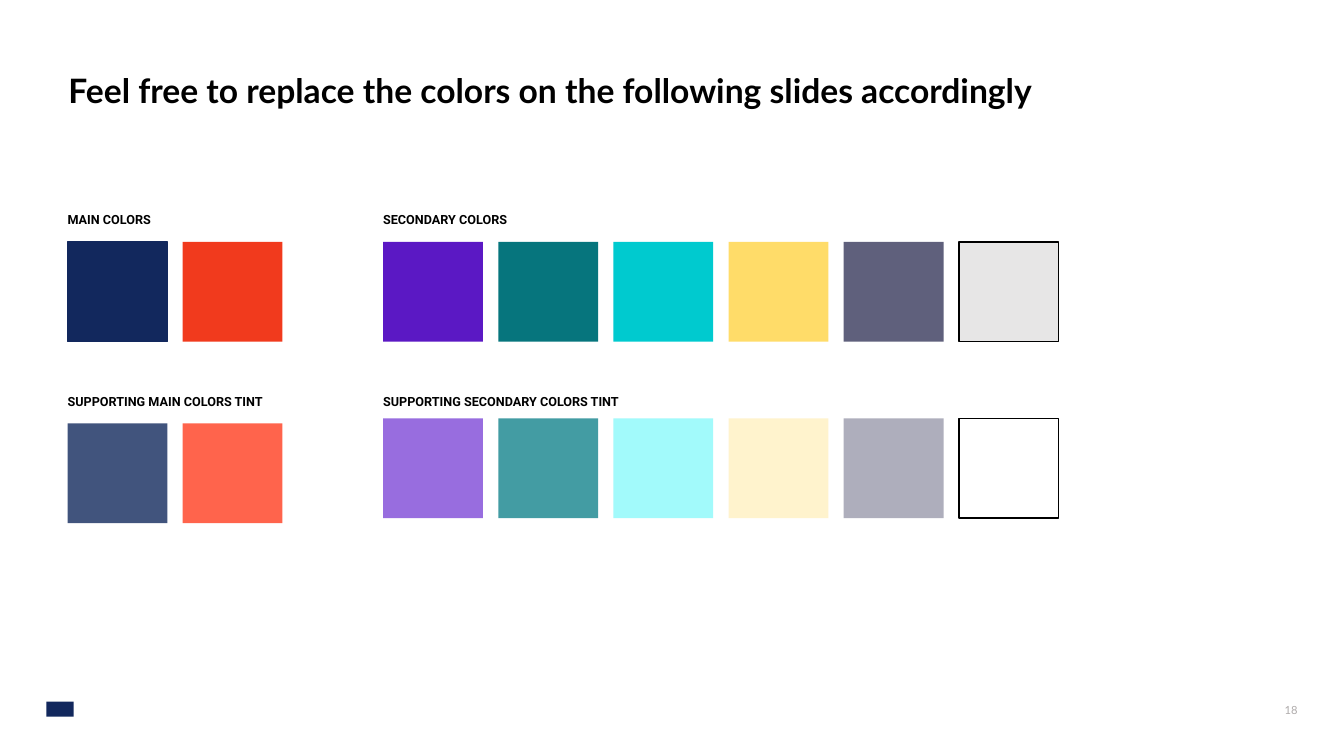
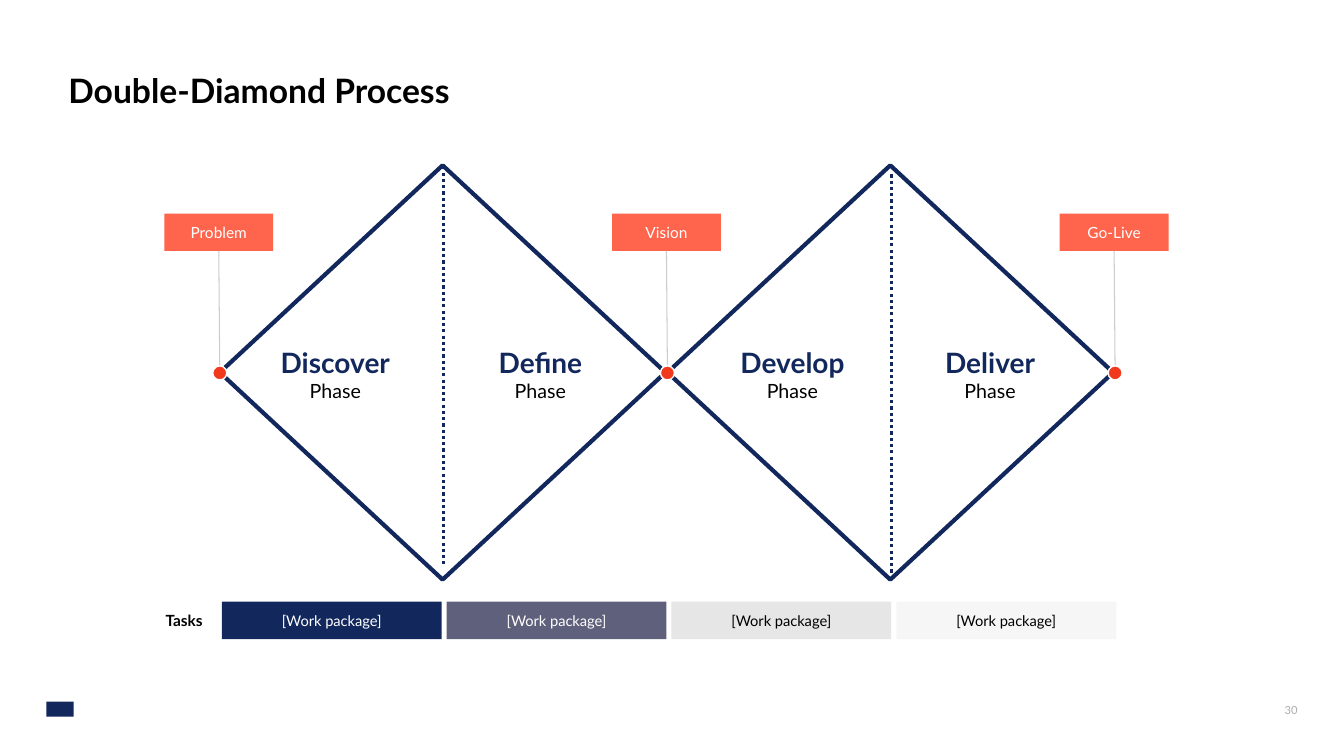
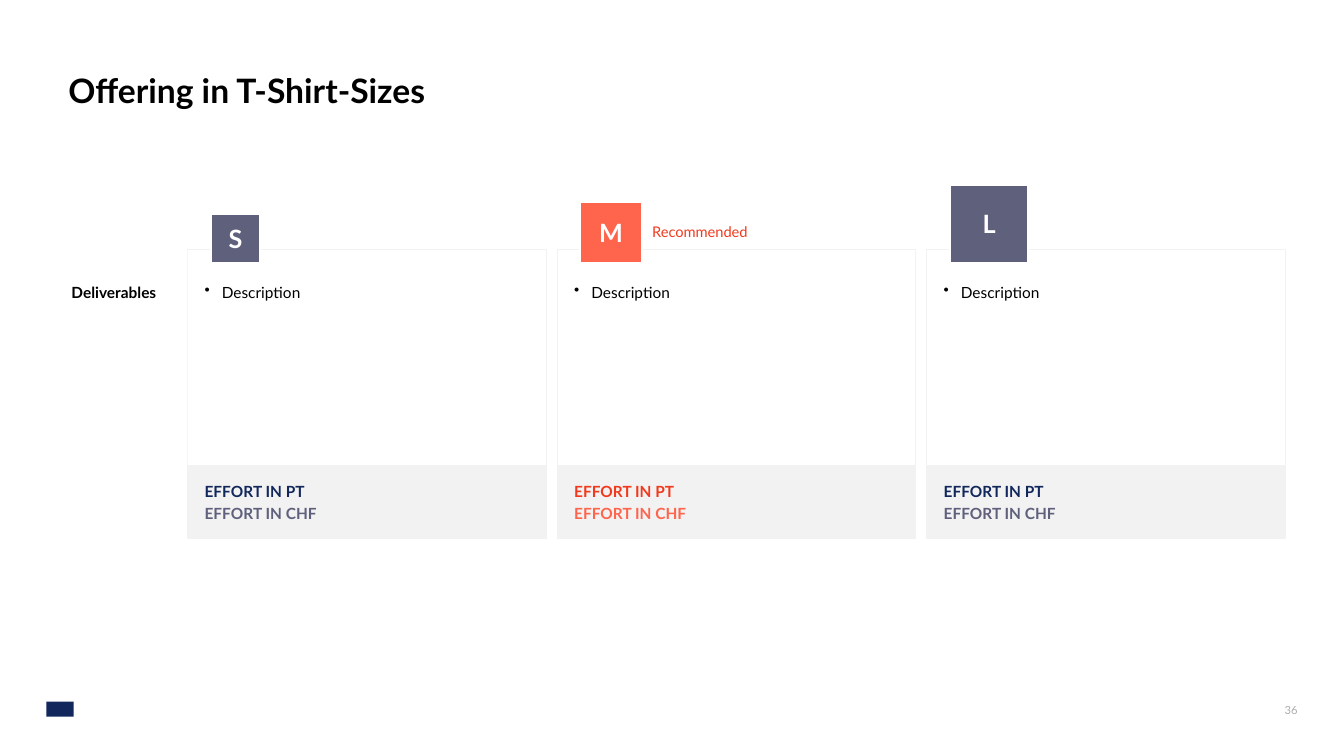
from lxml import etree
from pptx import Presentation
from pptx.dml.color import RGBColor
from pptx.enum.dml import MSO_LINE_DASH_STYLE as Dash
from pptx.enum.shapes import MSO_CONNECTOR as Link, MSO_SHAPE as Kind
from pptx.enum.text import MSO_ANCHOR as Anchor, PP_ALIGN as Align
from pptx.oxml.ns import qn
from pptx.util import Inches, Pt

# Shared palette and text settings
NAVY, RED, CORAL, SLATE = "12285D", "F13A1D", "FF644C", "5F607C"
BLACK, WHITE, SILVER, PALE = "000000", "FFFFFF", "E7E6E6", "F2F2F2"
FONT = "Lato"
PAD = (0.1, 0.1, 0.1, 0.1)
FLUSH = (0, 0, 0, 0)


def color(text):
    return RGBColor.from_string(text)


# Elements
def write(shape, rows, align=Align.LEFT, anchor=Anchor.MIDDLE, inset=PAD,
          font=FONT, space=None, indent=0, bullet=False):
    """Fill a shape with rows of (text, size, colour, bold)."""
    frame = shape.text_frame
    frame.word_wrap = True
    frame.vertical_anchor = anchor
    (frame.margin_left, frame.margin_top,
     frame.margin_right, frame.margin_bottom) = map(Inches, inset)
    for i, (text, size, tone, bold) in enumerate(rows):
        para = frame.add_paragraph() if i else frame.paragraphs[0]
        para.text = text
        para.alignment = align
        if space:
            para.line_spacing = space
        props = para._p.get_or_add_pPr()
        if indent:
            props.set("marL", str(Inches(indent)))
        if bullet:
            props.set("indent", str(Inches(-0.17)))
            etree.SubElement(props, qn("a:buChar"), char="•")
        para.font.name = font
        para.font.size = Pt(size)
        para.font.bold = bold
        para.font.color.rgb = color(tone)


def label(slide, x, y, w, h, rows, **style):
    area = slide.shapes.add_textbox(*map(Inches, (x, y, w, h)))
    write(area, rows, **style)


def box(slide, x, y, w, h, fill=None, line=None, weight=1, kind=Kind.RECTANGLE):
    shape = slide.shapes.add_shape(kind, *map(Inches, (x, y, w, h)))
    shape.shadow.inherit = False
    if fill:
        shape.fill.solid()
        shape.fill.fore_color.rgb = color(fill)
    else:
        shape.fill.background()
    if line:
        shape.line.color.rgb = color(line)
        shape.line.width = Pt(weight)
    else:
        shape.line.fill.background()
    return shape


def rule(slide, start, end, tone, weight, dash=None):
    line = slide.shapes.add_connector(Link.STRAIGHT, *map(Inches, start + end))
    line.line.color.rgb = color(tone)
    line.line.width = Pt(weight)
    if dash:
        line.line.dash_style = dash
    etree.SubElement(line._element.spPr, qn("a:effectLst"))
    return line


def fade(shape, percent):
    tone = shape._element.spPr.find(qn("a:solidFill"))[0]
    etree.SubElement(tone, qn("a:alpha"), val=str(percent * 1000))


def page(deck, title, number):
    slide = deck.slides.add_slide(deck.slide_layouts[6])
    box(slide, 0.46, 6.96, 0.27, 0.15, NAVY)
    label(slide, 8.53, 6.83, 4.44, 0.42,
          [(number, 8, "AFABAB", False)], align=Align.RIGHT)
    label(slide, 0.58, 0.58, 12.17, 0.67,
          [(title, 24, BLACK, True)], space=0.9)
    return slide


# Slides
def colors(deck):
    slide = page(deck, "Feel free to replace the colors on the following "
                       "slides accordingly", "18")
    groups = [
        ("MAIN COLORS", 0.67, 2.1, 2.4, (NAVY, RED)),
        ("SUPPORTING MAIN COLORS TINT", 0.67, 3.91, 4.2, ("41547D", CORAL)),
        ("SECONDARY COLORS", 3.8, 2.1, 2.4,
         ("5B18C4", "06757D", "00CACF", "FFDC69", SLATE, SILVER)),
        ("SUPPORTING SECONDARY COLORS TINT", 3.8, 3.91, 4.15,
         ("986DDF", "439CA3", "A2FAFB", "FFF3CD", "AEAEBC", WHITE)),
    ]
    edges = {NAVY: NAVY, SILVER: BLACK, WHITE: BLACK}
    for name, left, top, row, tones in groups:
        label(slide, left, top, 3.32, 0.15, [(name, 9, BLACK, True)],
              anchor=Anchor.TOP, inset=FLUSH, font="Roboto")
        for i, tone in enumerate(tones):
            box(slide, left + 1.142 * i, row, 0.99, 0.99,
                tone, edges.get(tone))


def process(deck):
    slide = page(deck, "Double-Diamond Process", "30")
    left, pitch, middle = 2.18, 4.44, 3.7

    # Diamonds and their dotted centre lines
    for i, top in enumerate((1.65, 1.73)):
        x = left + pitch * i
        box(slide, x, 1.64, 4.42, 4.11, line=NAVY, weight=3, kind=Kind.DIAMOND)
        axis = x + 2.22
        rule(slide, (axis, top), (axis, top + 3.96), NAVY, 2.25, Dash.ROUND_DOT)

    # Phases
    for name, x, w in (("Discover", 2.25, 2.15), ("Define", 4.39, 1.94),
                       ("Develop", 6.89, 1.94), ("Deliver", 8.85, 1.94)):
        label(slide, x, 3.39, w, 0.64,
              [(name, 20, NAVY, True), ("Phase", 14, BLACK, False)],
              align=Align.CENTER)

    # Milestones
    for i, name in enumerate(("Problem", "Vision", "Go-Live")):
        x = left + pitch * i
        tag = box(slide, x - 0.55, 2.12, 1.08, 0.37, CORAL)
        write(tag, [(name, 11, WHITE, False)], align=Align.CENTER)
        stem = rule(slide, (x - 0.01, 2.49), (x, middle), "CCCCCC", 0.75)
        stem.begin_connect(tag, 2)
        box(slide, x - 0.07, middle - 0.07, 0.14, 0.14,
            RED, WHITE, kind=Kind.OVAL)

    # Tasks
    label(slide, 1.03, 5.97, 1.08, 0.37,
          [("Tasks", 11, BLACK, True)], align=Align.RIGHT)
    tasks = ((NAVY, WHITE), (SLATE, WHITE), (SILVER, BLACK), (SILVER, BLACK))
    for i, (fill, ink) in enumerate(tasks):
        task = box(slide, 2.2 + 2.23 * i, 5.97, 2.18, 0.37, fill)
        write(task, [("[Work package]", 10.5, ink, False)], align=Align.CENTER)
    fade(task, 33)


def sizes(deck):
    slide = page(deck, "Offering in T-Shirt-Sizes", "36")
    offers = [("S", 0.49, SLATE, NAVY, SLATE),
              ("M", 0.61, CORAL, RED, CORAL),
              ("L", 0.78, SLATE, NAVY, SLATE)]
    left, pitch, width = 1.86, 3.665, 3.56

    # Cards with size badges
    for i, (name, side, fill, _, _) in enumerate(offers):
        x = left + pitch * i
        card = box(slide, x, 2.48, width, 2.15, WHITE, PALE, 0.75)
        write(card, [("Description", 11, BLACK, False)], anchor=Anchor.TOP,
              inset=(0.14, 0.3, 0.1, 0.1), space=1.15, indent=0.2, bullet=True)
        badge = box(slide, x + 0.23, 2.61 - side, side, side, fill, WHITE, 1.5)
        write(badge, [(name, 18, WHITE, True)], align=Align.CENTER, inset=FLUSH)
    label(slide, 6.37, 2.16, 1.18, 0.28, [("Recommended", 10.5, RED, False)])

    # Row heading
    head = box(slide, 0.58, 2.48, 1.28, 2.86, WHITE)
    write(head, [("Deliverables", 11, BLACK, True)], anchor=Anchor.TOP,
          inset=(0.1, 0.3, 0.1, 0.1), space=1.15, indent=0.03)

    # Effort
    for i, (_, _, _, first, second) in enumerate(offers):
        effort = box(slide, left + pitch * i, 4.62, width, 0.72,
                     PALE, PALE, 0.75)
        write(effort, [("EFFORT IN PT", 11, first, True),
                       ("EFFORT IN CHF", 11, second, True)],
              anchor=Anchor.TOP, inset=(0.14, 0.14, 0.14, 0.14),
              space=1.15, indent=0.03)


def main():
    deck = Presentation()
    deck.slide_width, deck.slide_height = Inches(13.33), Inches(7.5)
    colors(deck)
    process(deck)
    sizes(deck)
    deck.save("out.pptx")


if __name__ == "__main__":
    main()
